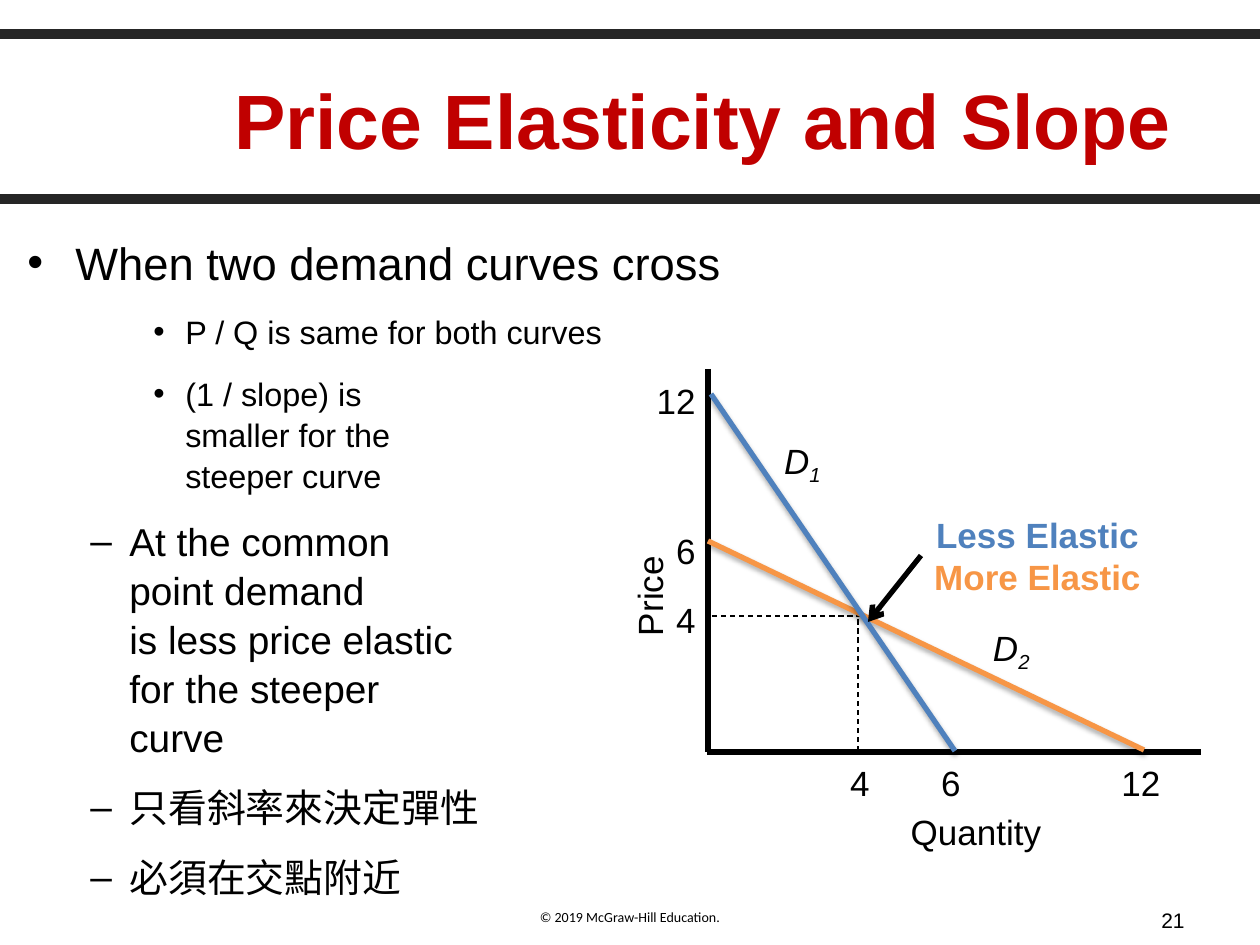
import pptx
import pptx.util
import pptx.dml.color
import pptx.enum.dml
import pptx.enum.shapes
import pptx.enum.text
import pptx.oxml
import pptx.oxml.ns
import lxml.etree

ALIGN = pptx.enum.text.PP_ALIGN
ANCHOR = pptx.enum.text.MSO_ANCHOR
NS = pptx.oxml.ns.nsdecls("a")

THEME = {
    "font": "Arial", "footer_font": "Calibri",
    "ink": "000000", "title": "C00000", "band": "262626",
    "steep": "4F81BD", "flat": "F79646",
    "title_size": 44, "label_size": 20, "number_size": 12, "footer_size": 8,
    "level_sizes": [25.9, 22.2, 18.5],
}

TITLE = "Price Elasticity and Slope"
TITLE_BOX = (147, 38, 1113, 161)
BANDS = [34, 199]

POINTS_BOX = (15, 226, 1070, 624)
POINTS = [
    (0, ["When two demand curves cross"]),
    (2, ["P / Q is same for both curves"]),
    (2, ["(1 / slope) is ", "smaller for the ", "steeper curve"]),
    (1, ["At the common ", "point demand ", "is less price elastic ",
         "for the steeper ", "curve"]),
    (1, ["只看斜率來決定彈性"]),
    (1, ["必須在交點附近"]),
]
LEVELS = [("•", 48, 48), ("–", 102, 39), ("•", 158, 32)]

GUIDES = [((858, 751), (858, 614)), ((712, 616), (862, 616))]
AXES = [((707, 752), (1201, 752)), ((708, 369), (708, 752))]
CURVES = [
    ((1144, 750), (708, 541), "flat"),
    ((955, 751), (711, 394), "steep"),
]
CURVE_NAMES = [("D", "1", (766, 433, 67, 48)), ("D", "2", (968, 620, 74, 48))]
PRICE_TICKS = [("12", 373), ("6", 523), ("4", 592)]
PRICE_TICK_RIGHT = 708
QUANTITY_TICKS = [("4", 860), ("6", 951), ("12", 1141)]
QUANTITY_TICK_TOP = 755
TICK_WIDTH, LABEL_HEIGHT = 76, 48
AXIS_NAMES = [("Quantity", (809, 804, 334, 48), 0), ("Price", (479, 572, 334, 48), 270)]

ELASTICITY = [("Less Elastic", "steep"), ("More Elastic", "flat")]
ELASTICITY_BOX = (921, 507, 233, 97)
CROSSING = (868, 622)

FOOTER, FOOTER_BOX = "© 2019 McGraw-Hill Education.", (420, 902, 420, 44)
NUMBER, NUMBER_BOX = "21", (903, 895, 294, 50)


def px(value):
    return round(value * 914400 / 126)


def rgb(name):
    return pptx.dml.color.RGBColor.from_string(THEME[name])


def add_run(paragraph, text, size, color="ink", font="font", bold=False, italic=False):
    run = paragraph.add_run()
    run.text = text
    run.font.size = pptx.util.Pt(size)
    run.font.name = THEME[font]
    run.font.bold = bold
    run.font.italic = italic
    run.font.color.rgb = rgb(color)
    return run


def add_text(slide, box, align=ALIGN.LEFT, anchor=ANCHOR.TOP):
    area = slide.shapes.add_textbox(*map(px, box))
    area.text_frame.word_wrap = True
    area.text_frame.vertical_anchor = anchor
    paragraph = area.text_frame.paragraphs[0]
    paragraph.alignment = align
    return area, paragraph


def add_label(slide, text, box, align):
    area, paragraph = add_text(slide, box, align)
    add_run(paragraph, text, THEME["label_size"])
    return area


def add_line(slide, start, end, width, color="ink", dashed=False, shadow=False):
    line = slide.shapes.add_connector(
        pptx.enum.shapes.MSO_CONNECTOR.STRAIGHT, *map(px, start + end))
    line.line.width = pptx.util.Pt(width)
    line.line.color.rgb = rgb(color)
    if dashed:
        line.line.dash_style = pptx.enum.dml.MSO_LINE.DASH
    glow = ('<a:outerShdw blurRad="40000" dist="23000" dir="5400000" rotWithShape="0">'
            '<a:srgbClr val="000000"><a:alpha val="35000"/></a:srgbClr>'
            '</a:outerShdw>') if shadow else ""
    line._element.spPr.append(
        pptx.oxml.parse_xml(f"<a:effectLst {NS}>{glow}</a:effectLst>"))
    return line


def add_title(slide):
    title = slide.shapes.title
    title.left, title.top, title.width, title.height = map(px, TITLE_BOX)
    title.text_frame.vertical_anchor = ANCHOR.MIDDLE
    paragraph = title.text_frame.paragraphs[0]
    paragraph.alignment = ALIGN.CENTER
    add_run(paragraph, TITLE, THEME["title_size"], "title", bold=True)
    for y in BANDS:
        add_line(slide, (0, y), (1260, y), 5.5, "band")


def add_points(slide):
    area, paragraph = add_text(slide, POINTS_BOX)
    for index, (level, lines) in enumerate(POINTS):
        if index:
            paragraph = area.text_frame.add_paragraph()
            paragraph.space_before = pptx.util.Pt(12)
        bullet, margin, hanging = LEVELS[level]
        properties = paragraph._p.get_or_add_pPr()
        properties.set("marL", str(px(margin)))
        properties.set("indent", str(-px(hanging)))
        properties.append(pptx.oxml.parse_xml(f'<a:buFont {NS} typeface="Arial"/>'))
        properties.append(pptx.oxml.parse_xml(f'<a:buChar {NS} char="{bullet}"/>'))
        paragraph.level = level
        paragraph.line_spacing = 1.05
        for row, text in enumerate(lines):
            if row:
                paragraph.add_line_break()
            add_run(paragraph, text, THEME["level_sizes"][level])


def add_graph(slide):
    for start, end in GUIDES:
        add_line(slide, start, end, 0.75, dashed=True)
    for letter, index, box in CURVE_NAMES:
        area, paragraph = add_text(slide, box, ALIGN.RIGHT)
        add_run(paragraph, letter, THEME["label_size"], italic=True)
        subscript = add_run(paragraph, index, THEME["label_size"], italic=True)
        subscript._r.get_or_add_rPr().set("baseline", "-25000")
    for text, top in PRICE_TICKS:
        box = (PRICE_TICK_RIGHT - TICK_WIDTH, top, TICK_WIDTH, LABEL_HEIGHT)
        add_label(slide, text, box, ALIGN.RIGHT)
    for text, middle in QUANTITY_TICKS:
        box = (middle - TICK_WIDTH / 2, QUANTITY_TICK_TOP, TICK_WIDTH, LABEL_HEIGHT)
        add_label(slide, text, box, ALIGN.CENTER)
    for text, box, turn in AXIS_NAMES:
        add_label(slide, text, box, ALIGN.CENTER).rotation = turn
    for start, end in AXES:
        add_line(slide, start, end, 3)
    for start, end, color in CURVES:
        add_line(slide, start, end, 3, color, shadow=True)


def add_elasticity(slide):
    area, paragraph = add_text(slide, ELASTICITY_BOX, ALIGN.CENTER)
    area.text_frame.word_wrap = False
    for row, (text, color) in enumerate(ELASTICITY):
        if row:
            paragraph.add_line_break()
        add_run(paragraph, text, THEME["label_size"], color, bold=True)
    left, top, width, height = ELASTICITY_BOX
    arrow = add_line(slide, (left, top + height / 2), CROSSING, 3)
    arrow.begin_connect(area, 1)
    lxml.etree.SubElement(
        arrow.line._get_or_add_ln(), pptx.oxml.ns.qn("a:tailEnd"), type="arrow")


def add_footer(slide):
    area, paragraph = add_text(slide, FOOTER_BOX, ALIGN.CENTER)
    add_run(paragraph, FOOTER, THEME["footer_size"], font="footer_font")
    area, paragraph = add_text(slide, NUMBER_BOX, ALIGN.RIGHT, ANCHOR.MIDDLE)
    add_run(paragraph, NUMBER, THEME["number_size"])


def main():
    deck = pptx.Presentation()
    deck.slide_width, deck.slide_height = px(1260), px(945)
    slide = deck.slides.add_slide(deck.slide_layouts[5])
    add_title(slide)
    add_points(slide)
    add_graph(slide)
    add_elasticity(slide)
    add_footer(slide)
    deck.save("out.pptx")


if __name__ == "__main__":
    main()
